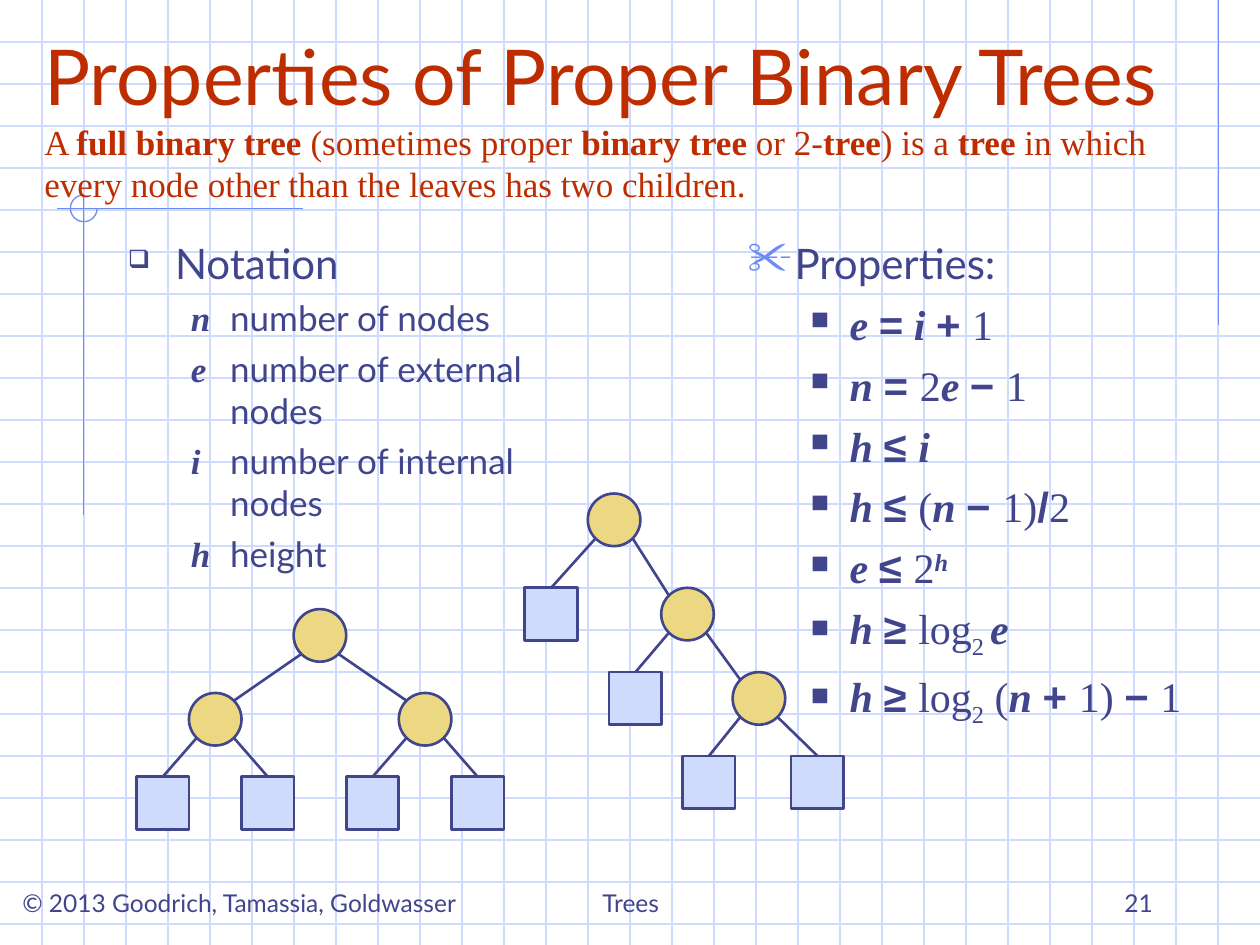
from dataclasses import dataclass
from typing import NamedTuple

from lxml.etree import SubElement
from pptx import Presentation
from pptx.dml.color import RGBColor
from pptx.enum.shapes import MSO_CONNECTOR as Connector, MSO_SHAPE as Preset
from pptx.enum.text import MSO_ANCHOR as Anchor, MSO_AUTO_SIZE as AutoSize, PP_ALIGN as Align
from pptx.oxml.ns import qn
from pptx.util import Cm, Pt

COLORS = {
    "ink": "40458C",
    "title": "BE2D00",
    "grid": "CFDBFD",
    "accent": "6F89F7",
    "internal": "ECD882",
    "external": "CFDBFD",
}
WIDTH, HEIGHT = 25.4, 19.05
PITCH = WIDTH / 30
NODE_SIZE = 1.06
RIM = NODE_SIZE / 2 * 0.5 ** 0.5
SANS, SERIF = "Lato", "Times New Roman"


class Style(NamedTuple):
    font: str
    bold: bool = False
    italic: bool = False
    baseline: int = 0


class Bullet(NamedTuple):
    char: str
    color: str
    percent: int


class Level(NamedTuple):
    margin: float
    hanging: float
    before: float
    size: float


@dataclass
class Node:
    x: float
    y: float
    children: tuple["Node", ...] = ()


@dataclass
class Footer:
    text: str
    left: float
    width: float
    align: Align


PLAIN = Style(SANS)
VAR = Style(SERIF, bold=True, italic=True)
OP = Style("Arial", bold=True)
NUM = Style(SERIF)
TERM = Style(SERIF, bold=True)
SUP = VAR._replace(baseline=30000)
SUB = NUM._replace(baseline=-25000)

HEADING = Level(0.95, 0.95, 6, 24)
NOTATION = Level(2.06, 0.79, 5, 20)
PROPERTY = Level(2.06, 0.79, 6, 24)

DEFINITION = [
    ("A ", NUM), ("full binary tree", TERM), (" (sometimes proper ", NUM),
    ("binary tree", TERM), (" or 2-", NUM), ("tree", TERM), (") is a ", NUM),
    ("tree", TERM),
    (" in which every node other than the leaves has two children.", NUM),
]
SYMBOLS = {
    "n": "number of nodes",
    "e": "number of external nodes",
    "i": "number of internal nodes",
    "h": "height",
}
PROPERTIES = [
    [("e ", VAR), ("=", OP), (" i ", VAR), ("+ ", OP), ("1", NUM)],
    [("n ", VAR), ("= ", OP), ("2", NUM), ("e ", VAR), ("− ", OP), ("1", NUM)],
    [("h ", VAR), ("≤ ", OP), ("i", VAR)],
    [("h ", VAR), ("≤ ", OP), ("(", NUM), ("n ", VAR), ("− ", OP), ("1)", NUM),
     ("/", OP), ("2", NUM)],
    [("e ", VAR), ("≤ ", OP), ("2", NUM), ("h", SUP)],
    [("h ", VAR), ("≥ ", OP), ("log", NUM), ("2 ", SUB), ("e", VAR)],
    [("h ", VAR), ("≥ ", OP), ("log", NUM), ("2", SUB), (" (", NUM), ("n ", VAR),
     ("+ ", OP), ("1) ", NUM), ("− ", OP), ("1", NUM)],
]
BALANCED = Node(6.45, 12.81, (
    Node(4.34, 14.5, (Node(3.28, 16.19), Node(5.4, 16.19))),
    Node(8.57, 14.5, (Node(7.51, 16.19), Node(9.63, 16.19))),
))
SKEWED = Node(12.38, 10.48, (
    Node(11.11, 12.38),
    Node(13.86, 12.38, (
        Node(12.81, 14.08),
        Node(15.3, 14.08, (Node(14.29, 15.77), Node(16.48, 15.77))),
    )),
))
FOOTERS = [
    Footer("Trees", 8.69, 8.05, Align.CENTER),
    Footer("21", 18.21, 5.28, Align.RIGHT),
    Footer("© 2013 Goodrich, Tamassia, Goldwasser", 0.2, 9.96, Align.LEFT),
]


def rgb(name: str) -> RGBColor:
    return RGBColor.from_string(COLORS[name])


def draw_line(shapes, x1: float, y1: float, x2: float, y2: float,
              color: str, weight: float = 0.75) -> None:
    line = shapes.add_connector(Connector.STRAIGHT, Cm(x1), Cm(y1), Cm(x2), Cm(y2))
    line.line.color.rgb = rgb(color)
    line.line.width = Pt(weight)
    SubElement(line.element.spPr, qn("a:effectLst"))


def draw_background(shapes) -> None:
    for row in range(1, 23):
        draw_line(shapes, 0, row * PITCH, WIDTH, row * PITCH, "grid")
    for column in range(1, 30):
        draw_line(shapes, column * PITCH, 0, column * PITCH, HEIGHT, "grid")
    draw_line(shapes, 24.56, 0, 24.56, 6.55, "accent")
    draw_line(shapes, 6.1, 4.21, 1.14, 4.21, "accent")
    draw_line(shapes, 1.69, 3.93, 1.69, 10.39, "accent")
    arc = shapes.add_shape(Preset.ARC, Cm(1.42), Cm(3.93), Cm(0.54), Cm(0.54))
    arc.adjustments[0], arc.adjustments[1] = 0, 162
    arc.shadow.inherit = False
    arc.fill.background()
    arc.line.color.rgb = rgb("accent")
    arc.line.width = Pt(0.75)


def add_runs(paragraph, runs, size: float | None = None) -> None:
    for text, style in runs:
        run = paragraph.add_run()
        run.text = text
        run.font.name = style.font
        run.font.bold = style.bold
        run.font.italic = style.italic
        if size:
            run.font.size = Pt(size)
        if style.baseline:
            run.font._element.set("baseline", str(style.baseline))


def format_paragraph(paragraph, level: Level, bullet: Bullet | None = None) -> None:
    properties = paragraph._p.get_or_add_pPr()
    properties.set("marL", str(Cm(level.margin)))
    properties.set("indent", str(-Cm(level.hanging)))
    paragraph.space_before = Pt(level.before)
    if bullet:
        color = SubElement(properties, qn("a:buClr"))
        SubElement(color, qn("a:srgbClr"), val=COLORS[bullet.color])
        SubElement(properties, qn("a:buSzPct"), val=str(bullet.percent * 1000))
        SubElement(properties, qn("a:buChar"), char=bullet.char)
    paragraph.font.size = Pt(level.size)
    paragraph.font.color.rgb = rgb("ink")


def add_text_frame(shapes, left: float, top: float, width: float, height: float):
    frame = shapes.add_textbox(Cm(left), Cm(top), Cm(width), Cm(height)).text_frame
    frame.word_wrap = True
    return frame


def add_list(shapes, left: float, width: float, height: float, heading: str,
             heading_bullet: Bullet, items, level: Level,
             bullet: Bullet | None = None) -> None:
    frame = add_text_frame(shapes, left, 4.66, width, height)
    first = frame.paragraphs[0]
    format_paragraph(first, HEADING, heading_bullet)
    add_runs(first, [(heading, PLAIN)])
    for runs in items:
        paragraph = frame.add_paragraph()
        format_paragraph(paragraph, level, bullet)
        add_runs(paragraph, runs)


def draw_tree(shapes, node: Node) -> None:
    kind, preset = ("internal", Preset.OVAL) if node.children else ("external", Preset.RECTANGLE)
    body = shapes.add_shape(preset, Cm(node.x - NODE_SIZE / 2), Cm(node.y - NODE_SIZE / 2),
                            Cm(NODE_SIZE), Cm(NODE_SIZE))
    body.shadow.inherit = False
    body.fill.solid()
    body.fill.fore_color.rgb = rgb(kind)
    body.line.color.rgb = rgb("ink")
    body.line.width = Pt(1.5)
    for child in node.children:
        side = 1 if child.x > node.x else -1
        if child.children:
            end_x, end_y = child.x - side * RIM, child.y - RIM
        else:
            end_x, end_y = child.x, child.y - NODE_SIZE / 2
        draw_line(shapes, node.x + side * RIM, node.y + RIM, end_x, end_y, "ink", 1.5)
        draw_tree(shapes, child)


def place_title(slide) -> None:
    title = slide.shapes.title
    slide.shapes.element.append(title.element)
    title.left, title.top, title.width, title.height = Cm(0.64), Cm(0.25), Cm(24.13), Cm(4.01)
    frame = title.text_frame
    frame.auto_size = AutoSize.NONE
    frame.vertical_anchor = Anchor.BOTTOM
    paragraph = frame.paragraphs[0]
    paragraph.alignment = Align.LEFT
    paragraph.font.color.rgb = rgb("title")
    add_runs(paragraph, [("Properties of Proper Binary Trees", PLAIN)], 44)
    paragraph.add_line_break()
    add_runs(paragraph, DEFINITION, 20)


def add_footer(shapes, footer: Footer) -> None:
    frame = add_text_frame(shapes, footer.left, 17.35, footer.width, 1.27)
    frame.vertical_anchor = Anchor.BOTTOM
    paragraph = frame.paragraphs[0]
    paragraph.text = footer.text
    paragraph.alignment = footer.align
    paragraph.font.name = SANS
    paragraph.font.size = Pt(14)
    paragraph.font.color.rgb = rgb("ink")


def main() -> None:
    deck = Presentation()
    deck.slide_width, deck.slide_height = Cm(WIDTH), Cm(HEIGHT)
    slide = deck.slides.add_slide(deck.slide_layouts[5])
    shapes = slide.shapes
    draw_background(shapes)
    place_title(slide)
    notation = [[(f"{symbol}\t", VAR), (meaning, PLAIN)] for symbol, meaning in SYMBOLS.items()]
    add_list(shapes, 2.33, 8.47, 7.2, "Notation", Bullet("❑", "ink", 60), notation, NOTATION)
    add_list(shapes, 14.82, 9.53, 10.16, "Properties:", Bullet("✂", "accent", 110),
             PROPERTIES, PROPERTY, Bullet("■", "ink", 60))
    for root in (BALANCED, SKEWED):
        draw_tree(shapes, root)
    for footer in FOOTERS:
        add_footer(shapes, footer)
    deck.save("out.pptx")


if __name__ == "__main__":
    main()
